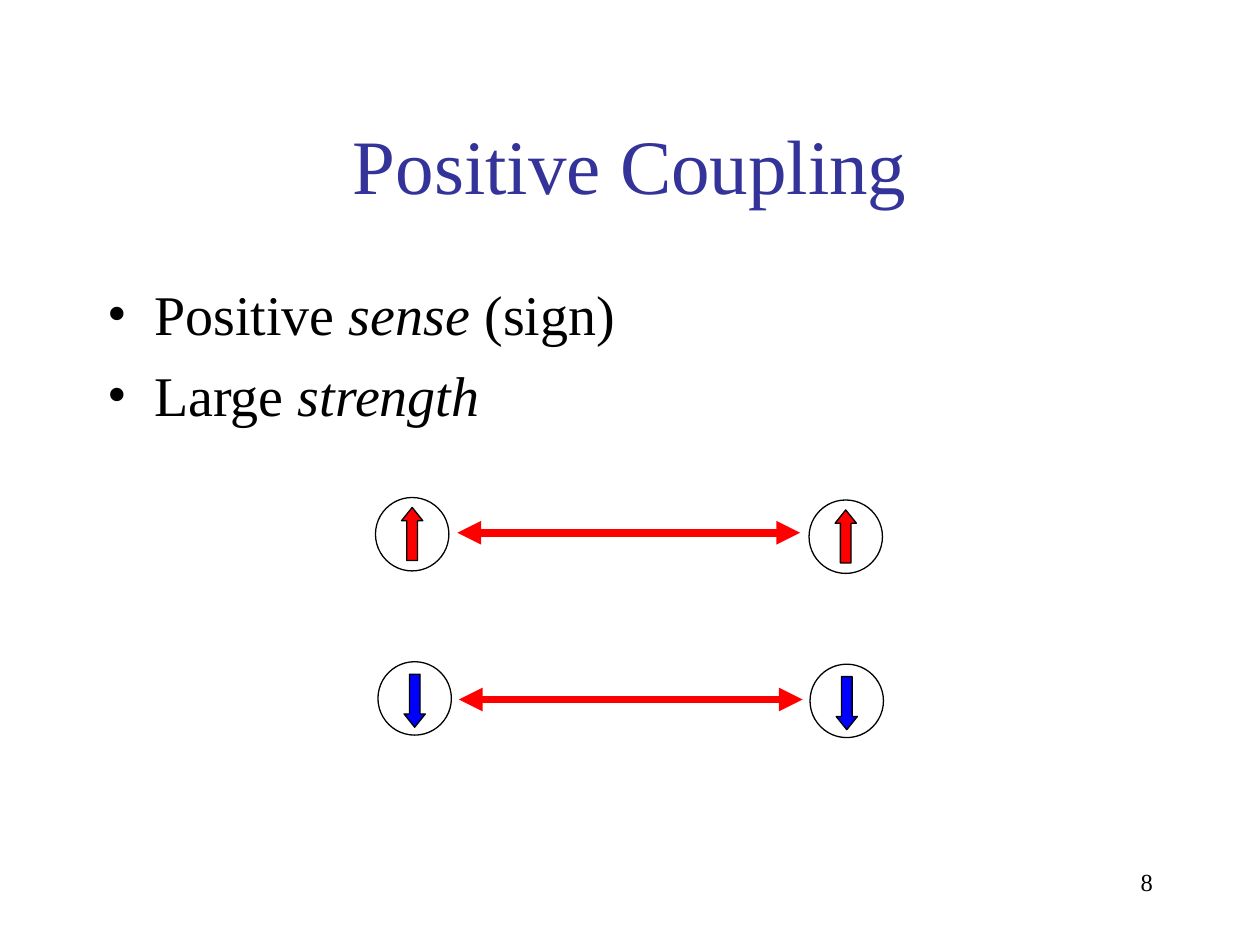
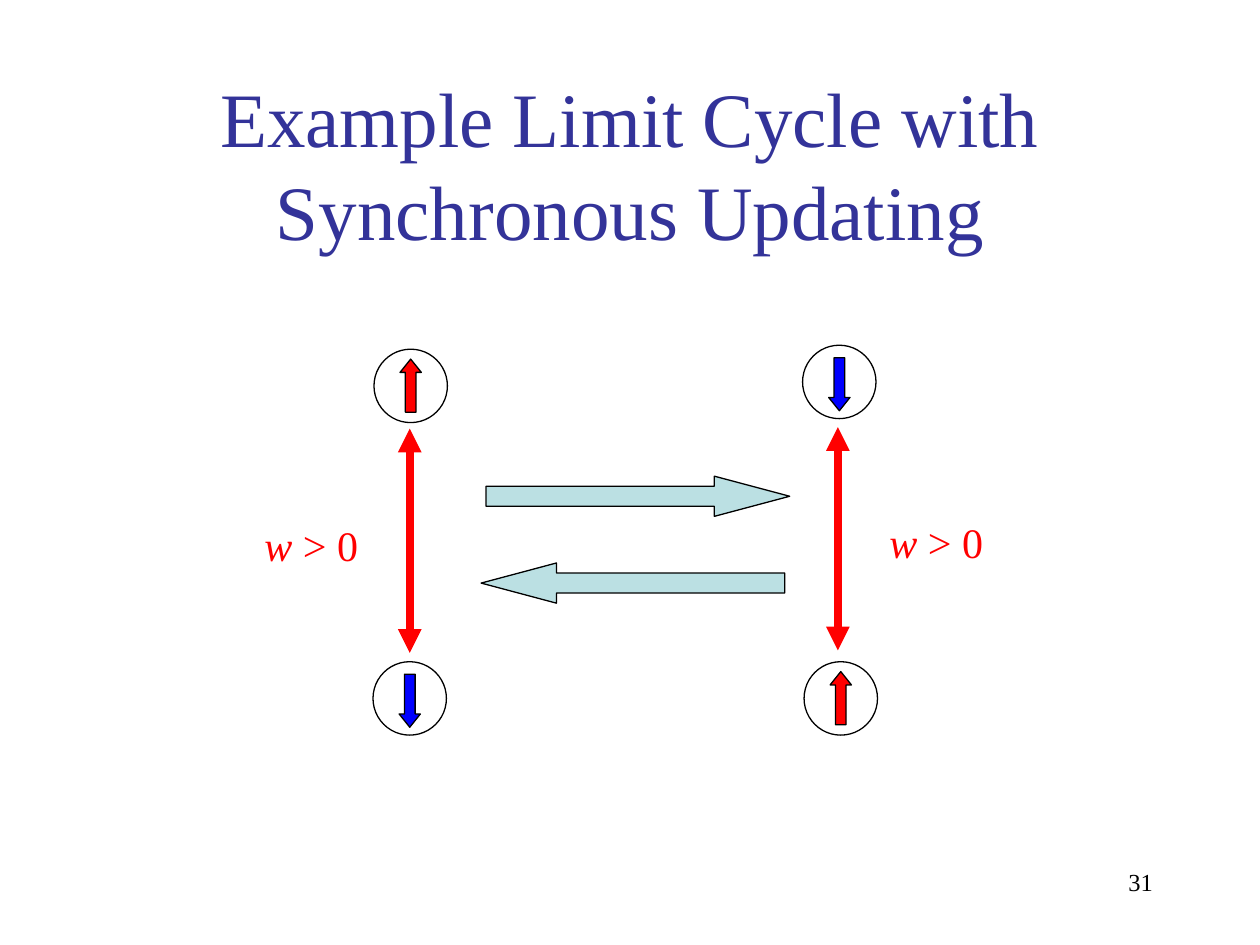
from dataclasses import dataclass

from lxml import etree
from pptx import Presentation
from pptx import util as u
from pptx.dml.color import RGBColor
from pptx.enum import shapes, text
from pptx.oxml.ns import qn

FONT = "Times New Roman"
BLACK, WHITE, RED, BLUE = "000000", "FFFFFF", "FF0000", "0000FF"
TITLE_COLOR, STEP_COLOR = "333399", "BBE0E3"
CIRCLE = 1.48
SPIN_WIDTH, SPIN_HEIGHT = 0.43, 1.07
TITLE_BOX = (1.91, 1.7, 21.59, 3.18)
BODY_BOX = (1.91, 5.51, 21.59, 3.91)
NUMBER_BOX = (18.21, 17.35, 5.28, 1.27)
STEP_SIZE = (6.12, 0.81)
LABEL_SIZE = (2.39, 1.27)
RIGHT, LEFT = shapes.MSO_SHAPE.RIGHT_ARROW, shapes.MSO_SHAPE.LEFT_ARROW


@dataclass
class Neuron:
    x: float
    y: float
    up: bool


@dataclass
class Coupling:
    x1: float
    y1: float
    x2: float
    y2: float


@dataclass
class WeightLabel:
    x: float
    y: float
    align: text.PP_ALIGN


@dataclass
class Step:
    x: float
    y: float
    kind: shapes.MSO_SHAPE


def color(value: str) -> RGBColor:
    return RGBColor.from_string(value)


def lengths(*values: float) -> list:
    return [u.Cm(value) for value in values]


def write(paragraph, content: str, size: int, font_color: str) -> None:
    """Write text in which the parts between asterisks are italic."""
    for index, part in enumerate(content.split("*")):
        if not part:
            continue
        run = paragraph.add_run()
        run.text = part
        formats = {"name": FONT, "size": u.Pt(size), "italic": index % 2 == 1}
        for name, value in formats.items():
            setattr(run.font, name, value)
        run.font.color.rgb = color(font_color)


def add_text(slide, box: tuple, content: str, size: int, font_color: str,
             align: text.PP_ALIGN, wrap: bool = True) -> None:
    frame = slide.shapes.add_textbox(*lengths(*box)).text_frame
    frame.word_wrap = wrap
    frame.paragraphs[0].alignment = align
    write(frame.paragraphs[0], content, size, font_color)


def add_bullets(slide, items: list[str]) -> None:
    frame = slide.shapes.add_textbox(*lengths(*BODY_BOX)).text_frame
    frame.word_wrap = True
    for index, item in enumerate(items):
        paragraph = frame.add_paragraph() if index else frame.paragraphs[0]
        properties = paragraph._p.get_or_add_pPr()
        properties.set("marL", str(u.Cm(0.95)))
        properties.set("indent", str(u.Cm(-0.95)))
        etree.SubElement(properties, qn("a:buFont"), typeface=FONT)
        etree.SubElement(properties, qn("a:buChar"), char="•")
        if index:
            paragraph.space_before = u.Pt(8)
        write(paragraph, item, 32, BLACK)


def add_outlined(slide, kind: shapes.MSO_SHAPE, box: tuple, fill: str):
    shape = slide.shapes.add_shape(kind, *lengths(*box))
    shape.shadow.inherit = False
    shape.fill.solid()
    shape.fill.fore_color.rgb = color(fill)
    shape.line.color.rgb = color(BLACK)
    shape.line.width = u.Pt(0.75)
    return shape


def add_neuron(slide, neuron: Neuron) -> None:
    """Draw a circle with a spin arrow inside."""
    add_outlined(slide, shapes.MSO_SHAPE.FLOWCHART_CONNECTOR,
                 (neuron.x, neuron.y, CIRCLE, CIRCLE), WHITE)
    left = neuron.x + (CIRCLE - SPIN_WIDTH) / 2
    top = neuron.y + (0.2 if neuron.up else 0.25)
    spin = add_outlined(slide, shapes.MSO_SHAPE.UP_ARROW,
                        (left, top, SPIN_WIDTH, SPIN_HEIGHT),
                        RED if neuron.up else BLUE)
    spin.adjustments[1] = 0.625
    spin.rotation = 0 if neuron.up else 180


def add_coupling(slide, coupling: Coupling) -> None:
    connector = slide.shapes.add_connector(
        shapes.MSO_CONNECTOR.STRAIGHT,
        *lengths(coupling.x1, coupling.y1, coupling.x2, coupling.y2))
    connector.line.color.rgb = color(RED)
    connector.line.width = u.Pt(4.5)
    line = connector.line._get_or_add_ln()
    for end in ("a:headEnd", "a:tailEnd"):
        etree.SubElement(line, qn(end), type="triangle")
    etree.SubElement(connector._element.spPr, qn("a:effectLst"))


def add_label(slide, label: WeightLabel) -> None:
    add_text(slide, (label.x, label.y, *LABEL_SIZE), "*w* > 0", 24, RED,
             label.align, wrap=False)


def add_step(slide, step: Step) -> None:
    arrow = add_outlined(slide, step.kind, (step.x, step.y, *STEP_SIZE), STEP_COLOR)
    arrow.adjustments[1] = 1.875


DRAW = {Neuron: add_neuron, Coupling: add_coupling,
        WeightLabel: add_label, Step: add_step}


def add_slide(presentation, title: str, number: int, parts: list):
    slide = presentation.slides.add_slide(presentation.slide_layouts[5])
    placeholder = slide.shapes.title
    names = ("left", "top", "width", "height")
    for name, value in zip(names, lengths(*TITLE_BOX)):
        setattr(placeholder, name, value)
    frame = placeholder.text_frame
    formats = {"word_wrap": True, "auto_size": text.MSO_AUTO_SIZE.NONE,
               "vertical_anchor": text.MSO_ANCHOR.MIDDLE}
    for name, value in formats.items():
        setattr(frame, name, value)
    frame.paragraphs[0].alignment = text.PP_ALIGN.CENTER
    write(frame.paragraphs[0], title, 44, TITLE_COLOR)
    add_text(slide, NUMBER_BOX, str(number), 14, BLACK, text.PP_ALIGN.RIGHT)
    for part in parts:
        DRAW[type(part)](slide, part)
    return slide


def main() -> None:
    presentation = Presentation()
    presentation.slide_width, presentation.slide_height = lengths(25.4, 19.05)

    positive = add_slide(presentation, "Positive Coupling", 8, [
        Neuron(7.57, 10.03, True),
        Neuron(16.31, 10.08, True),
        Coupling(9.22, 10.74, 16.13, 10.74),
        Neuron(7.62, 13.34, False),
        Neuron(16.33, 13.39, False),
        Coupling(9.25, 14.1, 16.18, 14.1),
    ])
    add_bullets(positive, ["Positive *sense* (sign)", "Large *strength*"])

    add_slide(presentation, "Example Limit Cycle with Synchronous Updating", 31, [
        Neuron(7.54, 7.04, True),
        Neuron(7.52, 13.34, False),
        Coupling(8.26, 8.64, 8.26, 13.16),
        WeightLabel(5.08, 10.34, text.PP_ALIGN.RIGHT),
        Neuron(16.21, 13.34, True),
        Neuron(16.18, 6.96, False),
        Coupling(16.89, 8.61, 16.89, 13.11),
        WeightLabel(17.68, 10.29, text.PP_ALIGN.LEFT),
        Step(9.8, 9.6, RIGHT),
        Step(9.7, 11.35, LEFT),
    ])
    presentation.save("out.pptx")


if __name__ == "__main__":
    main()
